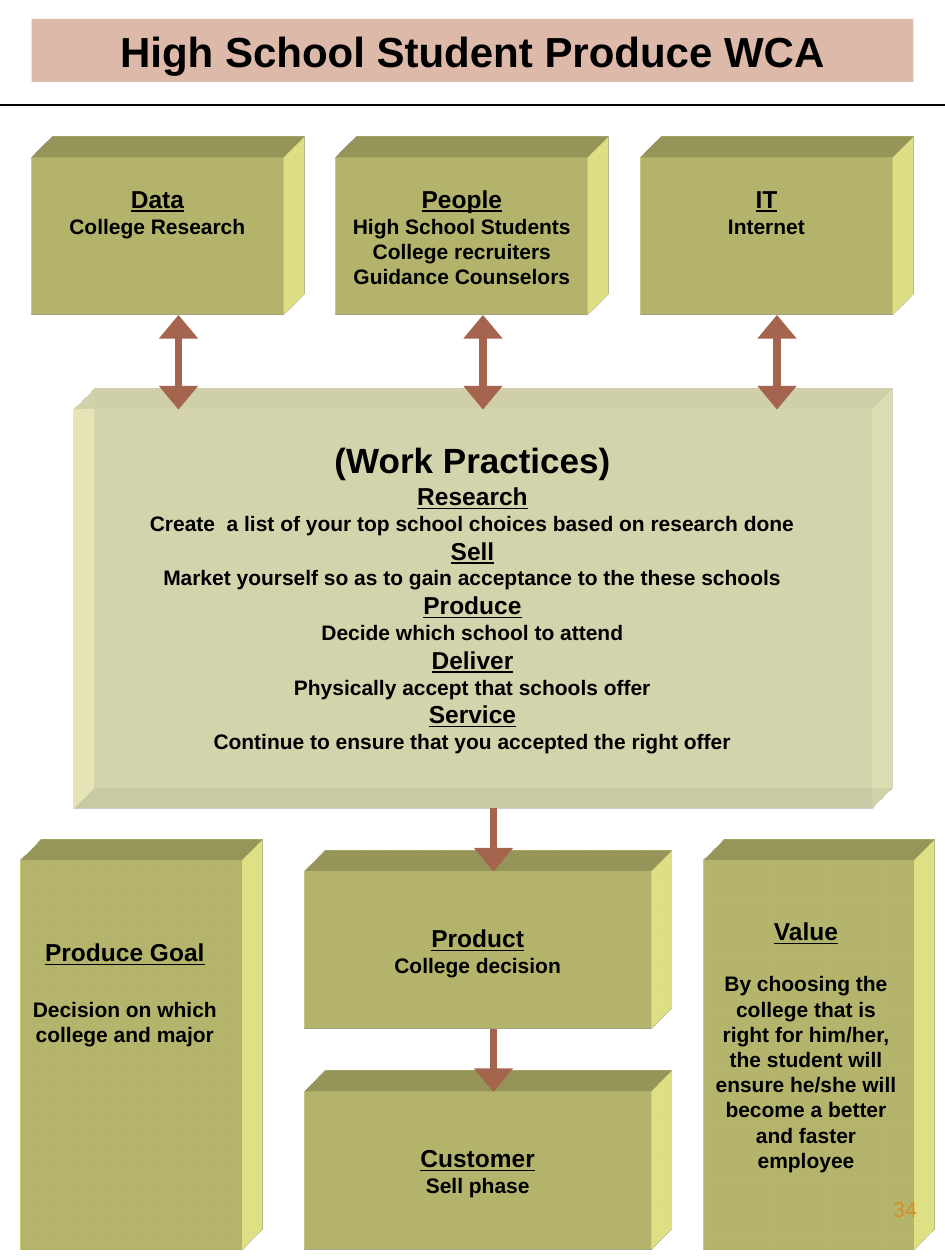
import pptx
import pptx.util
import pptx.dml.color
import pptx.enum.dml
import pptx.enum.shapes
import pptx.enum.text
import pptx.oxml
import pptx.oxml.ns

Pt = pptx.util.Pt

THEME = {
    "font": "Arial", "number_font": "Roboto",
    "text": "000000", "box": "FFFF99", "banner": "993300",
    "arrow": "A5644E", "number": "D48F29",
    "title": 24, "lead": 20, "heading": 14, "body": 12,
    "leading": 1.2, "alpha": 34,
}

TITLE = "High School Student Produce WCA"
PAGE_NUMBER = "34"

INPUTS = [
    [("heading", "Data"), ("body", "College Research")],
    [("heading", "People"), ("body", "High School Students"),
     ("body", "College recruiters"), ("body", "Guidance Counselors")],
    [("heading", "IT"), ("body", "Internet")],
]
PRACTICES = [
    ("Research", "Create  a list of your top school choices based on research done"),
    ("Sell", "Market yourself so as to gain acceptance to the these schools"),
    ("Produce", "Decide which school to attend"),
    ("Deliver", "Physically accept that schools offer"),
    ("Service", "Continue to ensure that you accepted the right offer"),
]
OUTPUTS = [
    [("heading", "Product"), ("body", "College decision")],
    [("heading", "Customer"), ("body", "Sell phase")],
]
GOAL = [("heading", "Produce Goal"), ("body", "Decision on which college and major")]
VALUE = [("heading", "Value"),
         ("body", "By choosing the college that is right for him/her, the student will "
                  "ensure he/she will become a better and faster employee")]

INPUT_LEFT, INPUT_TOP, INPUT_STEP = 18, 90, 174
INPUT_WIDTH, BOX_HEIGHT = 144, 90
WORK = (42, 234, 456, 228)
OUTPUT_LEFT, OUTPUT_TOP, OUTPUT_WIDTH, OUTPUT_STEP = 174, 498, 198, 126
SIDE_TOP, SIDE_HEIGHT = 492, 222
INPUT_ARROWS = (102, 276, 444)
OUTPUT_ARROW = 282


def rgb(name):
    return pptx.dml.color.RGBColor.from_string(THEME[name])


def add_xml(parent, markup):
    namespace = pptx.oxml.ns.nsdecls("a")
    element = pptx.oxml.parse_xml(markup.replace(" ", f" {namespace} ", 1))
    parent.append(element)


def fill_solid(shape, color, alpha=None):
    shape.fill.solid()
    shape.fill.fore_color.rgb = rgb(color)
    if alpha:
        color_node = shape.fill._xPr.find(".//" + pptx.oxml.ns.qn("a:srgbClr"))
        add_xml(color_node, f'<a:alpha val="{alpha * 1000}"/>')


def style_run(run, size, color="text", font="font", bold=True, underline=False):
    run.font.name = THEME[font]
    run.font.size = Pt(THEME[size])
    run.font.bold = bold
    run.font.underline = underline
    run.font.color.rgb = rgb(color)


def add_box(slide, bounds, lines, top_margin, gap=0, sides=(7.2, 7.2), alpha=None):
    shape = slide.shapes.add_shape(
        pptx.enum.shapes.MSO_SHAPE.RECTANGLE, *(Pt(value) for value in bounds))
    shape.shadow.inherit = False
    fill_solid(shape, "box", alpha)
    shape.line.fill.background()
    properties = shape._element.spPr
    add_xml(properties,
            '<a:scene3d ><a:camera prst="legacyObliqueTopRight"/>'
            '<a:lightRig rig="legacyFlat3" dir="b"/></a:scene3d>')
    add_xml(properties,
            '<a:sp3d extrusionH="430200" prstMaterial="legacyMatte">'
            f'<a:extrusionClr><a:srgbClr val="{THEME["box"]}"/></a:extrusionClr></a:sp3d>')
    frame = shape.text_frame
    frame.word_wrap = True
    frame.vertical_anchor = pptx.enum.text.MSO_ANCHOR.TOP
    frame.margin_top, frame.margin_bottom = Pt(top_margin), Pt(0)
    frame.margin_left, frame.margin_right = (Pt(side) for side in sides)
    for index, (kind, text) in enumerate(lines):
        paragraph = frame.paragraphs[0] if index == 0 else frame.add_paragraph()
        paragraph.alignment = pptx.enum.text.PP_ALIGN.CENTER
        paragraph.line_spacing = Pt(THEME[kind] * THEME["leading"])
        paragraph.space_before = Pt(gap if index else 0)
        run = paragraph.add_run()
        run.text = text
        style_run(run, kind, underline=kind == "heading")


def add_line(slide, start, end, color, width, ends=()):
    connector = slide.shapes.add_connector(
        pptx.enum.shapes.MSO_CONNECTOR.STRAIGHT, *(Pt(value) for value in start + end))
    connector.line.color.rgb = rgb(color)
    connector.line.width = Pt(width)
    for name in ends:
        add_xml(connector.line._get_or_add_ln(),
                f'<a:{name} type="triangle" w="lg" len="med"/>')
    add_xml(connector._element.spPr, "<a:effectLst />")


def add_title(slide):
    title = slide.shapes.title
    title.left, title.top, title.width, title.height = Pt(18), Pt(10.8), Pt(504), Pt(36)
    fill_solid(title, "banner", THEME["alpha"])
    frame = title.text_frame
    frame.word_wrap = True
    frame.vertical_anchor = pptx.enum.text.MSO_ANCHOR.MIDDLE
    paragraph = frame.paragraphs[0]
    paragraph.alignment = pptx.enum.text.PP_ALIGN.CENTER
    paragraph.space_before = Pt(0)
    run = paragraph.add_run()
    run.text = TITLE
    style_run(run, "title")


def add_page_number(slide):
    box = slide.shapes.add_textbox(Pt(486), Pt(680), Pt(45), Pt(26))
    box.text_frame.word_wrap = True
    paragraph = box.text_frame.paragraphs[0]
    paragraph.alignment = pptx.enum.text.PP_ALIGN.RIGHT
    run = paragraph.add_run()
    run.text = PAGE_NUMBER
    style_run(run, "body", "number", "number_font", bold=False)


def main():
    presentation = pptx.Presentation()
    presentation.slide_width, presentation.slide_height = Pt(540), Pt(720)
    slide = presentation.slides.add_slide(presentation.slide_layouts[5])
    add_title(slide)

    for index, lines in enumerate(INPUTS):
        left = INPUT_LEFT + index * INPUT_STEP
        add_box(slide, (left, INPUT_TOP, INPUT_WIDTH, BOX_HEIGHT), lines, 15)

    work_lines = [("lead", "(Work Practices)")]
    for heading, body in PRACTICES:
        work_lines += [("heading", heading), ("body", body)]
    add_box(slide, WORK, work_lines, 16.8, alpha=THEME["alpha"])

    add_box(slide, (12, SIDE_TOP, 126, SIDE_HEIGHT), GOAL, 43.6, 16.8, (3.6, 10.8))
    add_box(slide, (402, SIDE_TOP, 120, SIDE_HEIGHT), VALUE, 31.6, 14.4, (5.2, 8))
    for index, lines in enumerate(OUTPUTS):
        top = OUTPUT_TOP + index * OUTPUT_STEP
        add_box(slide, (OUTPUT_LEFT, top, OUTPUT_WIDTH, BOX_HEIGHT), lines, 29.4)

    for x in INPUT_ARROWS:
        add_line(slide, (x, INPUT_TOP + BOX_HEIGHT), (x, WORK[1]),
                 "arrow", 4.5, ("headEnd", "tailEnd"))
    for index in range(len(OUTPUTS)):
        end = OUTPUT_TOP + index * OUTPUT_STEP
        add_line(slide, (OUTPUT_ARROW, end - 36), (OUTPUT_ARROW, end),
                 "arrow", 4.5, ("tailEnd",))
    add_line(slide, (0, 60), (540, 60), "text", 0.75)
    add_page_number(slide)
    presentation.save("out.pptx")


if __name__ == "__main__":
    main()
